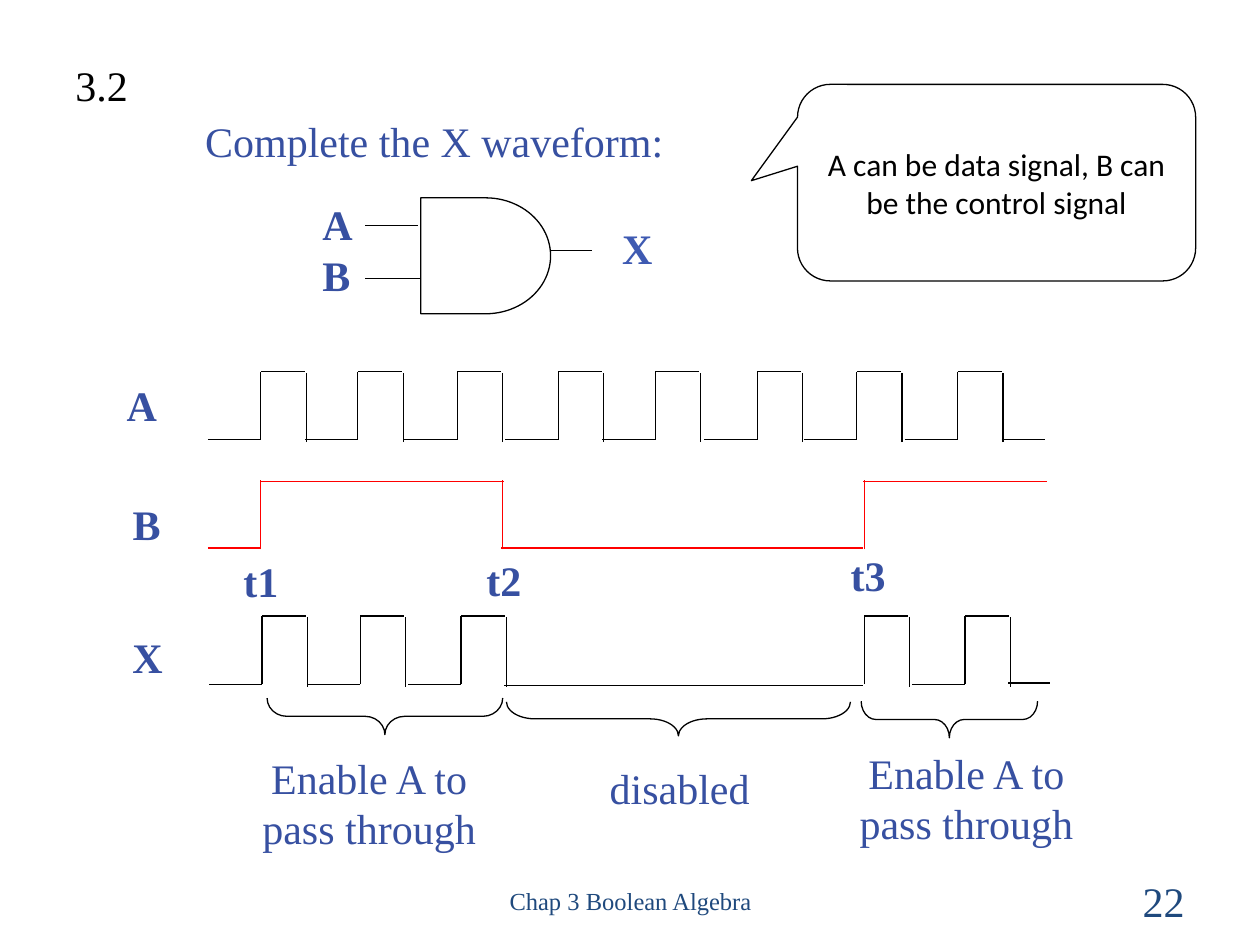
"""Build a slide with AND gate waveforms and their enable and disable intervals."""
from pptx import Presentation, util as u
from pptx.dml.color import RGBColor
from pptx.enum import shapes, text
from pptx.oxml.ns import qn
from lxml import etree

Inches = u.Inches
LEFT, CENTER, RIGHT = text.PP_ALIGN.LEFT, text.PP_ALIGN.CENTER, text.PP_ALIGN.RIGHT
TOP, MIDDLE = text.MSO_ANCHOR.TOP, text.MSO_ANCHOR.MIDDLE
BLACK, BLUE, NAVY, RED = "000000", "3750A1", "1F497D", "FF0000"

prs = Presentation()
prs.slide_width, prs.slide_height = Inches(10), Inches(7.5)
s = prs.slides.add_slide(prs.slide_layouts[6])


def add_line(x1, y1, x2, y2, color=BLACK):
    c = s.shapes.add_connector(shapes.MSO_CONNECTOR.STRAIGHT,
                               Inches(x1), Inches(y1), Inches(x2), Inches(y2))
    c.line.color.rgb = RGBColor.from_string(color)
    c.line.width = u.Pt(0.75)
    etree.SubElement(c._element.spPr, qn("a:effectLst"))


def write(sp, words, size=24, color=BLUE, bold=False, align=CENTER,
          anchor=TOP, font="Times New Roman", wrap=True, spacing=None):
    tf = sp.text_frame
    tf.word_wrap, tf.vertical_anchor = wrap, anchor
    tf.text = words
    for p in tf.paragraphs:
        p.alignment, p.line_spacing = align, spacing
        p.font.name, p.font.size, p.font.bold = font, u.Pt(size), bold
        p.font.color.rgb = RGBColor.from_string(color)


labels = [
    (3.42, 6.95, 3.17, 0.4, "Chap 3 Boolean Algebra", dict(size=14, color=NAVY, anchor=MIDDLE)),
    (7.17, 6.95, 2.33, 0.4, "22", dict(color=NAVY, align=RIGHT, anchor=MIDDLE)),
    (0.5, 0.42, 0.62, 0.5, "3.2", dict(color=BLACK, align=LEFT, wrap=False)),
    (1.53, 0.87, 5.27, 0.5, "Complete the X waveform:", dict(align=LEFT)),
    (0.89, 2.96, 0.47, 0.5, "A", dict(bold=True)),
    (0.91, 3.91, 0.51, 0.5, "B", dict(bold=True)),
    (0.85, 4.96, 0.64, 0.5, "X", dict(bold=True)),
    (2.46, 1.53, 0.44, 0.9, "A\nB", dict(bold=True, align=LEFT, wrap=False)),
    (4.84, 1.72, 0.44, 0.5, "X", dict(bold=True, color="3E5AB2", align=LEFT, wrap=False)),
    (1.73, 4.44, 0.68, 0.42, "t1", dict(bold=True, spacing=0.8)),
    (3.66, 4.43, 0.68, 0.42, "t2", dict(bold=True, spacing=0.8)),
    (6.55, 4.39, 0.68, 0.42, "t3", dict(bold=True, spacing=0.8)),
    (1.76, 5.92, 2.34, 0.9, "Enable A to pass through", {}),
    (4.56, 6, 1.67, 0.5, "disabled", {}),
    (6.5, 5.88, 2.34, 0.9, "Enable A to pass through", {}),
]
for x, y, w, h, words, style in labels:
    write(s.shapes.add_textbox(Inches(x), Inches(y), Inches(w), Inches(h)), words, **style)

a_rises = [2.07, 2.84, 3.63, 4.43, 5.2, 6.01, 6.8, 7.6]
x_rises = [2.08, 2.86, 3.66, 6.86, 7.66]
for rises, low in ((a_rises, 3.49), (x_rises, 5.43)):
    high = low - 0.54
    for x in rises:
        if x != 6.86:
            add_line(x - 0.42, low, x, low)
        add_line(x, low, x, high)
        add_line(x, high, x + 0.35, high)
        add_line(x + 0.36, low + 0.02, x + 0.36, high + 0.01)
add_line(7.95, 3.49, 8.29, 3.49)
add_line(4, 5.44, 6.85, 5.44)
add_line(8, 5.42, 8.33, 5.42)

for x1, x2, y in ((1.65, 2.07, 4.35), (2.07, 4, 3.82), (3.98, 6.85, 4.35), (6.85, 8.31, 3.82)):
    add_line(x1, y, x2, y, RED)
for x in (2.07, 3.99, 6.86):
    add_line(x, 4.36, x, 3.81, RED)

for x1, x2, y in ((2.9, 3.32, 1.79), (2.9, 3.34, 2.21), (4.37, 4.7, 1.99)):
    add_line(x1, y, x2, y)

kinds = shapes.MSO_SHAPE
outlines = [
    (kinds.FLOWCHART_DELAY, 3.34, 1.57, 1.03, 0.92, 0, []),
    (kinds.LEFT_BRACE, 2.91, 4.75, 0.29, 1.87, 270, [0.542, 0.5]),
    (kinds.LEFT_BRACE, 5.25, 4.34, 0.27, 2.73, 270, [0.839, 0.5]),
    (kinds.LEFT_BRACE, 7.39, 5.01, 0.29, 1.4, 270, [0.405, 0.5]),
    (kinds.ROUNDED_RECTANGULAR_CALLOUT, 6.33, 0.67, 3.16, 1.56, 0, [-0.616, -0.01, 0.167]),
]
for kind, x, y, w, h, rotation, adjustments in outlines:
    sp = s.shapes.add_shape(kind, Inches(x), Inches(y), Inches(w), Inches(h))
    sp.rotation = rotation
    sp.shadow.inherit = False
    sp.fill.background()
    sp.line.color.rgb = RGBColor.from_string(BLACK)
    sp.line.width = u.Pt(0.75)
    for i, value in enumerate(adjustments):
        sp.adjustments[i] = value
    if kind == kinds.ROUNDED_RECTANGULAR_CALLOUT:
        write(sp, "A can be data signal, B can be the control signal",
              size=18, color=BLACK, anchor=MIDDLE, font="Calibri")

prs.save("out.pptx")
